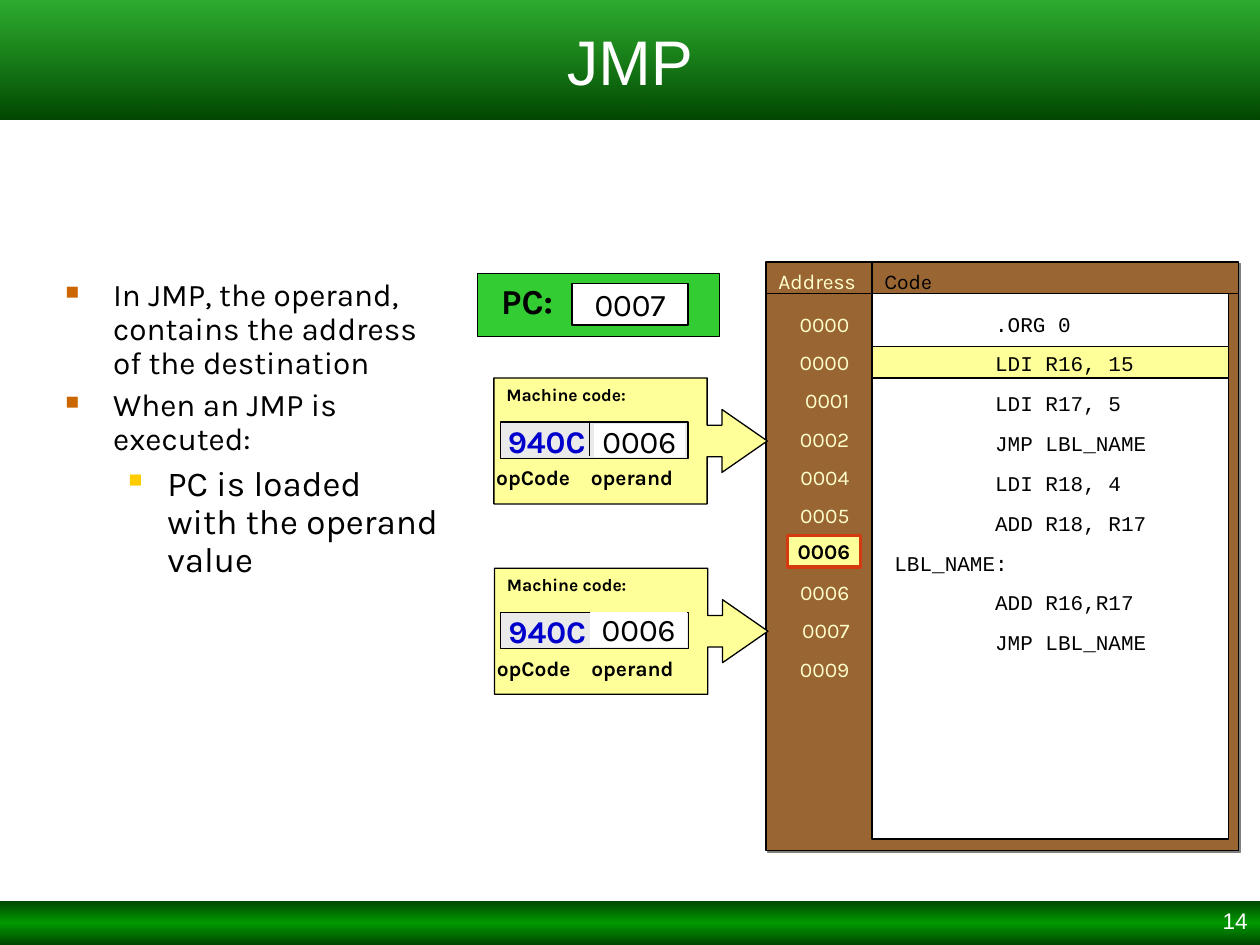
"""Builds the JMP instruction slide."""
from lxml.etree import SubElement
from pptx import Presentation
from pptx.dml.color import RGBColor
from pptx.enum.shapes import MSO_CONNECTOR, MSO_SHAPE
from pptx.enum.text import MSO_ANCHOR, PP_ALIGN
from pptx.oxml import parse_xml
from pptx.oxml.ns import nsdecls, qn
from pptx.util import Inches, Pt

rgb = RGBColor.from_string


def add_box(shapes, at, text="", size=12, color="000000", bold=False, font="Karla",
            align=PP_ALIGN.LEFT, fill=None, line="000000", width=0.75,
            kind=MSO_SHAPE.RECTANGLE, before=0):
    at = [Inches(v) for v in at]
    if fill:
        sp = shapes.add_shape(kind, *at)
        sp.shadow.inherit = False
        sp.fill.solid()
        sp.fill.fore_color.rgb = rgb(fill)
        sp.line.color.rgb = rgb(line)
        sp.line.width = Pt(width)
    else:
        sp = shapes.add_textbox(*at)
    tf = sp.text_frame
    tf.word_wrap = not fill
    tf.vertical_anchor = MSO_ANCHOR.MIDDLE if fill else MSO_ANCHOR.TOP
    if text:
        tf.text = text
        for i, p in enumerate(tf.paragraphs):
            p.alignment = align
            if i:
                p.space_before = Pt(before)
            for r in p.runs:
                r.font.size, r.font.bold, r.font.name = Pt(size), bold, font
                r.font.color.rgb = rgb(color)
    return sp


def add_line(shapes, x1, y1, x2, y2):
    cn = shapes.add_connector(MSO_CONNECTOR.STRAIGHT, *[Inches(v) for v in (x1, y1, x2, y2)])
    cn.line.color.rgb = rgb("000000")
    cn.line.width = Pt(0.75)
    SubElement(cn._element.spPr, qn("a:effectLst"))


prs = Presentation()
prs.slide_width, prs.slide_height = Inches(10), Inches(7.5)
s = prs.slides.add_slide(prs.slide_layouts[6])
center = PP_ALIGN.CENTER

# bars
bars = [
    ((0, 7.15, 10, 0.35), "", [(0, "004700", 100), (50, "009900", 100), (100, "004700", 100)]),
    ((0, 0, 10, 0.95), "JMP", [(0, "009900", 82), (100, "004700", 100)]),
]
for at, text, stops in bars:
    sp = add_box(s.shapes, at, text, 36, "FFFFFF", font="Arial", align=center, fill="004700")
    sp.line.fill.background()
    sp.fill.gradient()
    sp.fill.gradient_angle = 270
    gs_list = sp._element.spPr.find(qn("a:gradFill")).find(qn("a:gsLst"))
    for gs in list(gs_list):
        gs_list.remove(gs)
    for pos, color, alpha in stops:
        gs = SubElement(gs_list, qn("a:gs"), pos=str(pos * 1000))
        clr = SubElement(gs, qn("a:srgbClr"), val=color)
        SubElement(clr, qn("a:alpha"), val=str(alpha * 1000))
add_box(s.shapes, (7.67, 7.17, 2.33, 0.33), "14", 12.9, "FFFFFF", font="Arial",
        align=PP_ALIGN.RIGHT).text_frame.paragraphs[0].line_spacing = 0.9

rows = [
    ("0000", "        .ORG 0"),
    ("0000", "        LDI R16, 15"),
    ("0001", "        LDI R17, 5"),
    ("0002", "        JMP LBL_NAME"),
    ("0004", "        LDI R18, 4"),
    ("0005", "        ADD R18, R17"),
    ("0006", "LBL_NAME:"),
    ("0006", "        ADD R16,R17"),
    ("0007", "        JMP LBL_NAME"),
    ("0009", ""),
]
sp = add_box(s.shapes, (6.08, 2.08, 3.75, 4.67), fill="996633")
sp._element.spPr.find(qn("a:effectLst")).append(parse_xml(
    f'<a:outerShdw {nsdecls("a")} dist="17780" dir="2700000" algn="ctr" rotWithShape="0">'
    '<a:srgbClr val="808080"/></a:outerShdw>'))
add_box(s.shapes, (6.17, 2.42, 0.67, 3.04), "\n".join(a for a, c in rows), color="FFFFCC",
        align=PP_ALIGN.RIGHT, before=7.5)
add_box(s.shapes, (6.92, 2.33, 2.83, 4.33), fill="FFFFFF")
add_box(s.shapes, (6.92, 2.75, 2.83, 0.25), fill="FFFF99")
add_box(s.shapes, (7, 2.42, 2.58, 3.04), "\n".join(c for a, c in rows if c),
        font="Courier New", before=8.35)
add_line(s.shapes, 6.92, 2.33, 6.92, 2.08)
add_line(s.shapes, 6.08, 2.33, 9.83, 2.33)
add_box(s.shapes, (6.92, 2.08, 1.58, 0.3), "Code")
add_box(s.shapes, (6.08, 2.08, 0.83, 0.3), "Address", color="FFFFCC")
add_box(s.shapes, (6.25, 4.25, 0.58, 0.25), "0006", bold=True, align=center,
        fill="FFFF99", line="D43A10", width=2.25)

add_box(s.shapes, (3.79, 2.17, 1.92, 0.5), fill="33CC33")
add_box(s.shapes, (3.88, 2.17, 0.83, 0.44), "PC:", 20, bold=True)
add_box(s.shapes, (4.54, 2.25, 0.92, 0.33), "0007", 18, align=center, fill="FFFFFF")

for x, y, operand_at in [(3.92, 3, (4.72, 3.37, 0.71, 0.25)),
                         (3.925, 4.51, (4.69, 4.86, 0.76, 0.27))]:
    g = s.shapes.add_group_shape().shapes
    sp = add_box(g, (x, y, 2.17, 1), fill="FFFF99", kind=MSO_SHAPE.RIGHT_ARROW_CALLOUT)
    for i, v in enumerate((0.25, 0.25, 0.36, 0.78)):
        sp.adjustments[i] = v
    add_box(g, (x - 0.08, y + 0.64, 0.83, 0.3), "opCode", bold=True)
    add_box(g, (x + 0.67, y + 0.64, 0.92, 0.3), "operand", bold=True)
    sp = add_box(g, (x + 0.05, y + 0.35, 1.49, 0.29), "940C", 18, "0000CC", True, fill="EAEAEA")
    sp.text_frame.margin_left = Inches(0.06)
    add_line(g, x + 0.76, y + 0.35, x + 0.76, y + 0.62)
    add_box(g, (x, y, 1.25, 0.27), "Machine code:", 10, bold=True)
    add_box(g, operand_at, "0006", 18, align=center, fill="FFFFFF", line="FFFFFF")

bullets = [
    ("In JMP, the operand, contains the address of the destination", 0, 18, 0.38, 0.38, "CC6600", 60),
    ("When an JMP is executed:", 0, 18, 0.38, 0.38, "CC6600", 60),
    ("PC is loaded with the operand value", 1, 20, 0.81, 0.31, "FFCC00", 55),
]
sp = add_box(s.shapes, (0.42, 2.17, 3.17, 4.08), "\n".join(b[0] for b in bullets))
for p, (text, level, size, left, hang, color, pct) in zip(sp.text_frame.paragraphs, bullets):
    pPr = p._p.get_or_add_pPr()
    pPr.set("marL", str(Inches(left)))
    pPr.set("indent", str(-Inches(hang)))
    clr = SubElement(pPr, qn("a:buClr"))
    SubElement(clr, qn("a:srgbClr"), val=color)
    SubElement(pPr, qn("a:buSzPct"), val=str(pct * 1000))
    SubElement(pPr, qn("a:buChar"), char="■")
    p.level = level
    p.line_spacing = 0.9
    p.space_before = Pt(0 if p._p.getprevious().tag != qn("a:p") else 5 if level else 4.5)
    p.runs[0].font.size = Pt(size)

prs.save("out.pptx")
